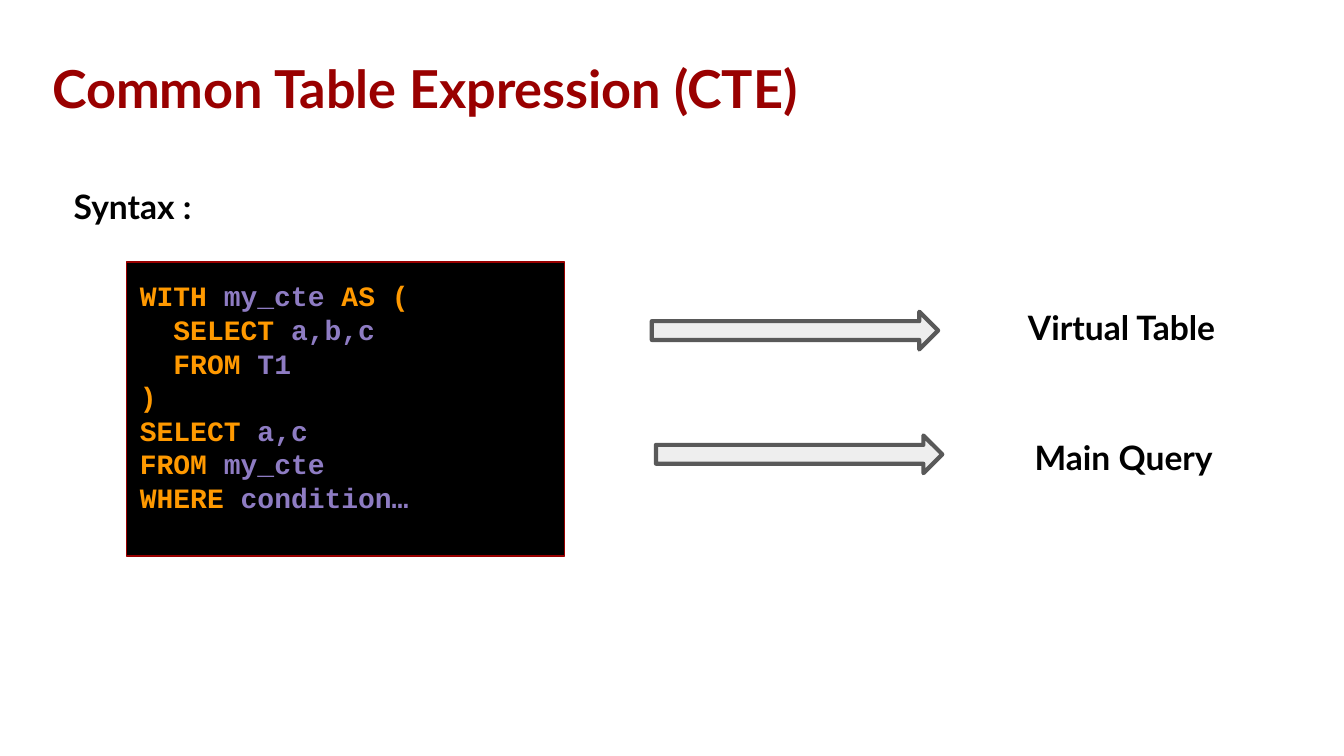
from pptx import Presentation
from pptx.dml.color import RGBColor
from pptx.enum.shapes import MSO_SHAPE as Shape
from pptx.enum.text import MSO_ANCHOR as Anchor, PP_ALIGN as Align
from pptx.util import Pt

COLORS = {
    "title": "990000",
    "text": "000000",
    "paper": "FFFFFF",
    "code_fill": "000000",
    "code_line": "980000",
    "keyword": "FF9900",
    "name": "8E7CC3",
    "arrow_fill": "EEEEEE",
    "arrow_line": "595959",
}
INSET = 7.2

# Each code line is a list of (text, color) runs
CODE = [
    [("WITH", "keyword"), (" my_cte", "name"), (" AS (", "keyword")],
    [("  SELECT", "keyword"), (" a,b,c", "name")],
    [("  FROM", "keyword"), (" T1", "name")],
    [(")", "keyword")],
    [("SELECT", "keyword"), (" a,c", "name")],
    [("FROM ", "keyword"), ("my_cte", "name")],
    [("WHERE ", "keyword"), ("condition…", "name")],
]

# Arrow box and label box for each part of the query
PARTS = [
    ("Virtual Table", (349.2, 167, 153.4, 20.2), (543.6, 157, 169.2, 36.7)),
    ("Main Query", (351.4, 233.3, 153.4, 20.2), (547.2, 226.8, 141.1, 33.1)),
]


def rgb(color):
    return RGBColor.from_string(COLORS[color])


def add_figure(slide, kind, box, fill, line, width):
    figure = slide.shapes.add_shape(kind, *map(Pt, box))
    figure.shadow.inherit = False
    figure.fill.solid()
    figure.fill.fore_color.rgb = rgb(fill)
    figure.line.color.rgb = rgb(line)
    figure.line.width = Pt(width)
    return figure


def write(holder, lines, font, size, spacing=None, top=INSET):
    frame = holder.text_frame
    frame.word_wrap = True
    frame.vertical_anchor = Anchor.TOP
    frame.margin_left = frame.margin_right = frame.margin_bottom = Pt(INSET)
    frame.margin_top = Pt(top)
    for number, line in enumerate(lines):
        paragraph = frame.add_paragraph() if number else frame.paragraphs[0]
        paragraph.alignment = Align.LEFT
        if spacing:
            paragraph.line_spacing = Pt(spacing)
        for text, color in line:
            run = paragraph.add_run()
            run.text = text
            run.font.name = font
            run.font.size = Pt(size)
            run.font.bold = True
            run.font.color.rgb = rgb(color)


def add_label(slide, box, text, size=18, color="text"):
    label = slide.shapes.add_textbox(*map(Pt, box))
    write(label, [[(text, color)]], "Lato", size)


def add_code(slide, box):
    panel = add_figure(slide, Shape.RECTANGLE, box, "code_fill", "code_line", 0.75)
    write(panel, CODE, "Courier New", 15, spacing=18, top=9)


def add_part(slide, text, arrow_box, label_box):
    add_figure(slide, Shape.RIGHT_ARROW, arrow_box, "arrow_fill", "arrow_line", 2.25)
    add_label(slide, label_box, text)


def add_syntax_heading(slide, box):
    heading = add_figure(slide, Shape.RECTANGLE, box, "paper", "paper", 0.75)
    write(heading, [[("Syntax :", "text")]], "Lato", 18)


def main():
    deck = Presentation()
    deck.slide_width, deck.slide_height = Pt(720), Pt(405)
    slide = deck.slides.add_slide(deck.slide_layouts[6])

    # Title
    add_label(slide, (20.9, 23, 686.2, 49.7), "Common Table Expression (CTE)", 28, "title")
    # Query and what its parts are
    add_code(slide, (67.9, 140.4, 234.7, 157.4))
    for part in PARTS:
        add_part(slide, *part)
    # Heading above the query
    add_syntax_heading(slide, (32.4, 92.2, 133.2, 31.7))

    deck.save("out.pptx")


if __name__ == "__main__":
    main()
